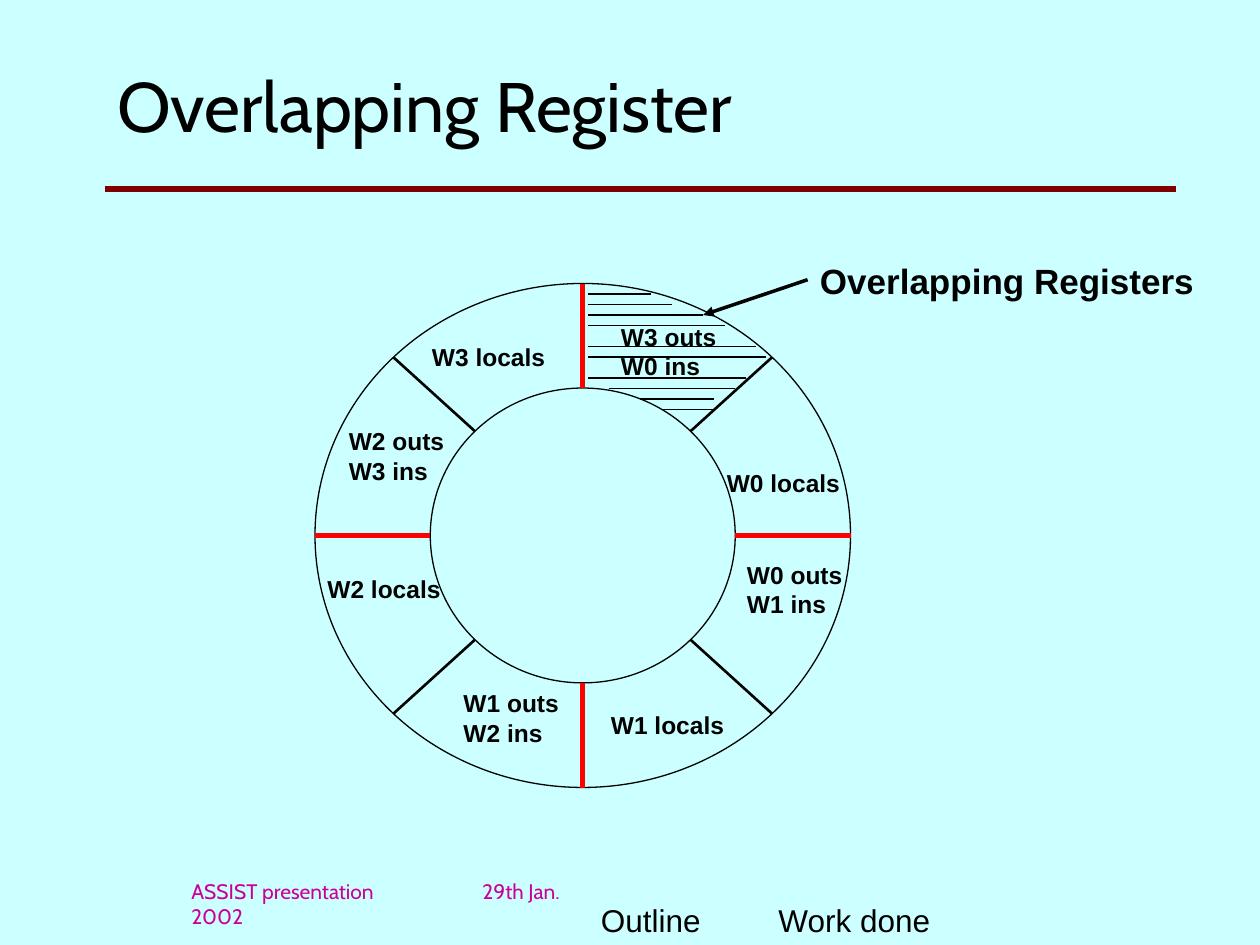
from math import cos, radians, sin

from lxml import etree
from pptx import Presentation
from pptx.dml.color import RGBColor
from pptx.enum.shapes import MSO_CONNECTOR, MSO_SHAPE
from pptx.enum.text import MSO_ANCHOR, MSO_AUTO_SIZE, PP_ALIGN
from pptx.oxml.ns import qn
from pptx.util import Inches, Pt

COLORS = {"back": "CCFFFF", "ink": "000000", "rule": "800000",
          "split": "FF0000", "foot": "CC0099"}


def color(name):
    return RGBColor.from_string(COLORS[name])


def add_run(para, text, size, font="Arial", tone="ink", bold=False):
    run = para.add_run()
    run.text = text
    run.font.size = Pt(size)
    run.font.name = font
    run.font.bold = bold
    run.font.color.rgb = color(tone)


def add_text(slide, box, lines, size, wrap=False, grow=True, **style):
    shape = slide.shapes.add_textbox(*map(Inches, box))
    frame = shape.text_frame
    frame.word_wrap = wrap
    frame.auto_size = (MSO_AUTO_SIZE.SHAPE_TO_FIT_TEXT if grow
                       else MSO_AUTO_SIZE.NONE)
    frame.vertical_anchor = MSO_ANCHOR.BOTTOM
    for i, line in enumerate(lines):
        para = frame.add_paragraph() if i else frame.paragraphs[0]
        add_run(para, line, size, **style)
    return frame


def add_line(slide, start, end, width, tone="ink", arrow=False):
    line = slide.shapes.add_connector(
        MSO_CONNECTOR.STRAIGHT, *map(Inches, (*start, *end)))
    line.line.width = Pt(width)
    line.line.color.rgb = color(tone)
    if arrow:
        etree.SubElement(line.line._get_or_add_ln(), qn("a:tailEnd"),
                         type="triangle")
    etree.SubElement(line._element.spPr, qn("a:effectLst"))


def add_head(slide, box):
    # Title with the rule below it
    left, top, width, height = box
    title = slide.shapes.title
    title.left, title.top, title.width, title.height = map(Inches, box)
    frame = title.text_frame
    frame.auto_size = MSO_AUTO_SIZE.NONE
    frame.vertical_anchor = MSO_ANCHOR.MIDDLE
    para = frame.paragraphs[0]
    para.alignment = PP_ALIGN.LEFT
    add_run(para, "Overlapping Register", 40, "Cabin")
    rule = top + height + 0.17
    add_line(slide, (left, rule), (left + 8.5, rule), 3, "rule")


def add_ring(slide, box):
    left, top, width, height = box
    mid = (left + width / 2, top + height / 2)
    outer, inner = (width / 2, height / 2), (1.21, 1.17)

    # Two ellipses
    for rx, ry in (outer, inner):
        oval = slide.shapes.add_shape(
            MSO_SHAPE.OVAL, Inches(mid[0] - rx), Inches(mid[1] - ry),
            Inches(2 * rx), Inches(2 * ry))
        oval.shadow.inherit = False
        oval.fill.background()
        oval.line.color.rgb = color("ink")
        oval.line.width = Pt(0.75)

    # Eight spokes, every second one marks a window
    for turn in range(0, 360, 45):
        ends = [(mid[0] + rx * cos(radians(turn)),
                 mid[1] + ry * sin(radians(turn)))
                for rx, ry in (inner, outer)]
        look = (1.5, "ink") if turn % 90 else (3, "split")
        add_line(slide, *ends, *look)

    # Hatching of the overlap, on rows a twelfth of an inch apart
    hatch = [(1, 4.67, 5.17), (2, 4.67, 5.33), (3, 4.67, 5.58),
             (4, 4.67, 5.75), (6, 4.67, 6), (7, 4.67, 6.08),
             (9, 4.67, 5.92), (10, 4.83, 5.83), (11, 5.08, 5.67),
             (12, 5.25, 5.67)]
    for row, start, end in hatch:
        y = top + row / 12
        add_line(slide, (start, y), (end, y), 0.75)

    # Segment labels
    local = [(5.67, 3.66), (4.75, 5.58), (2.5, 4.5), (3.33, 2.66)]
    shared = [(5.83, 4.39), (3.58, 5.41), (2.67, 3.33), (4.83, 2.5)]
    for i, (own, both) in enumerate(zip(local, shared)):
        add_text(slide, (*own, 1.1, 0.34), [f"W{i} locals"], 14, bold=True)
        add_text(slide, (*both, 0.96, 0.57),
                 [f"W{i} outs", f"W{(i + 1) % 4} ins"], 14, bold=True)


def add_note(slide, box):
    # Callout pointing at the overlap
    left, top, width, height = box
    add_text(slide, box, ["Overlapping Registers"], 20, bold=True)
    add_line(slide, (left, top + height / 2), (5.58, 2.5), 2, arrow=True)


def add_foot(slide, box):
    # Footer with a tab before the date, then the two section names
    frame = add_text(slide, box, ["ASSIST presentation\t29th Jan. 2002"], 12,
                     wrap=True, grow=False, font="Cabin", tone="foot")
    props = frame.paragraphs[0]._p.get_or_add_pPr()
    tabs = etree.SubElement(props, qn("a:tabLst"))
    etree.SubElement(tabs, qn("a:tab"), pos=str(Inches(2.31)), algn="l")
    for name, left, width in (("Outline", 4.67, 1.08),
                              ("Work done", 6.08, 1.58)):
        add_text(slide, (left, 7.1, width, 0.4), [name], 18, wrap=True)


def main():
    deck = Presentation()
    deck.slide_width, deck.slide_height = Inches(10), Inches(7.5)
    slide = deck.slides.add_slide(deck.slide_layouts[5])
    slide.background.fill.solid()
    slide.background.fill.fore_color.rgb = color("back")
    add_head(slide, (0.83, 0.33, 7.75, 1))
    add_ring(slide, (2.5, 2.25, 4.25, 4))
    add_note(slide, (6.41, 2, 3.17, 0.44))
    add_foot(slide, (1.42, 7.09, 3.17, 0.33))
    deck.save("out.pptx")


if __name__ == "__main__":
    main()
